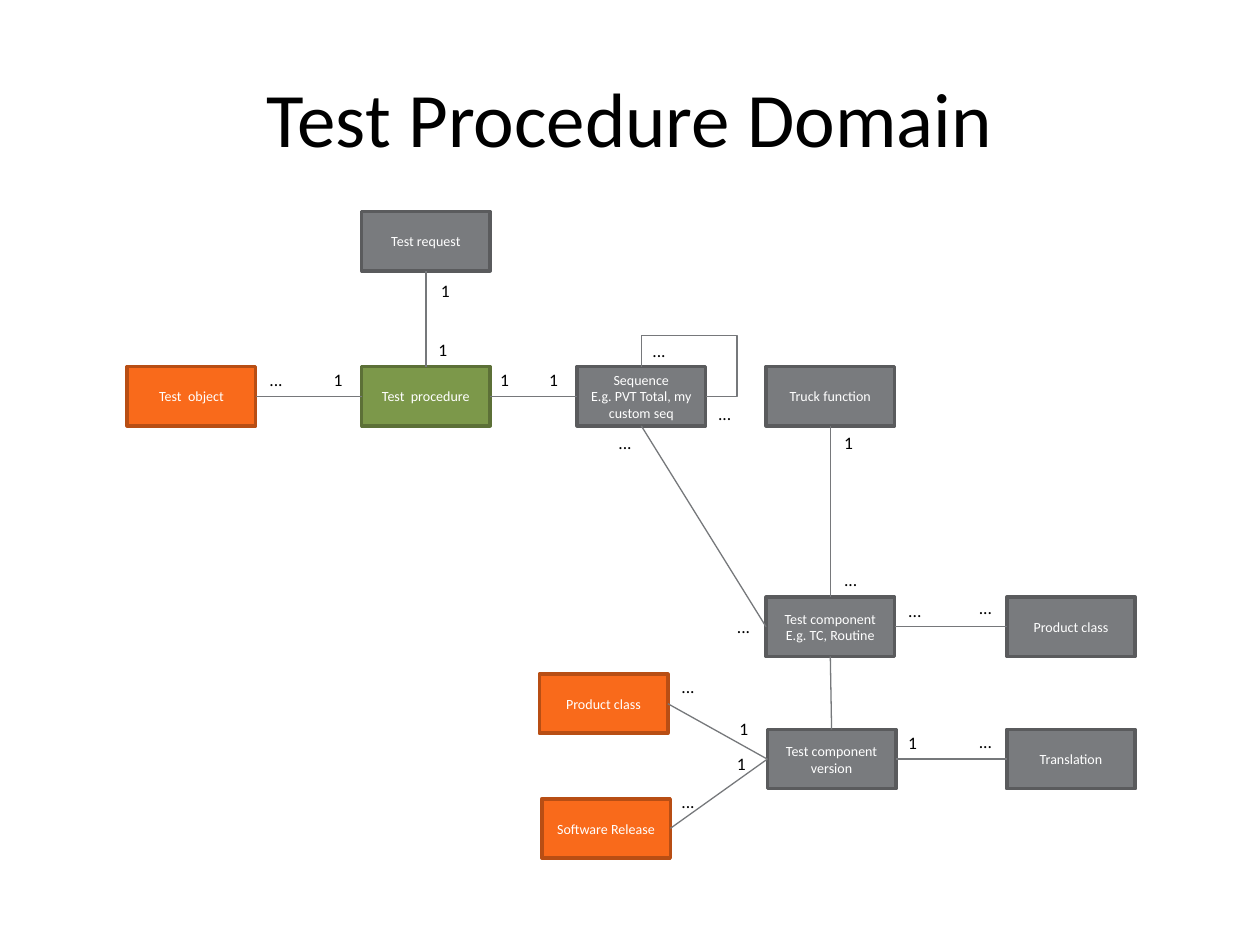
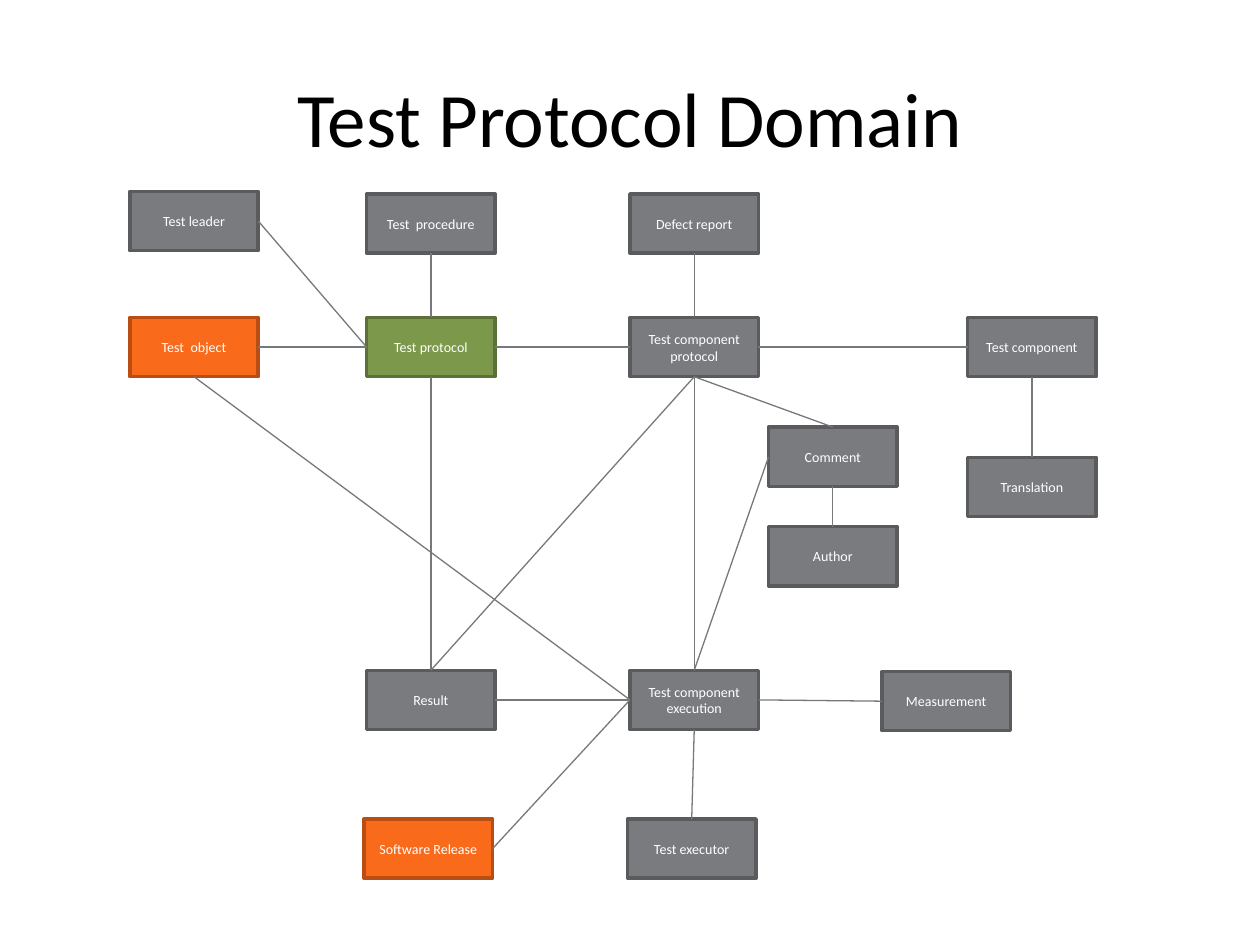
from dataclasses import dataclass
from enum import IntEnum

from lxml.etree import SubElement
from pptx import Presentation
from pptx.dml.color import RGBColor as Color
from pptx.enum.shapes import MSO_CONNECTOR as Connector, MSO_SHAPE as Shape
from pptx.enum.text import MSO_ANCHOR as Anchor, PP_ALIGN as Align
from pptx.oxml.ns import qn
from pptx.util import Inches, Pt

WIDTH, HEIGHT = 10, 7.5
COLUMNS, ROWS = 100, 75
BOX_COLUMNS, BOX_ROWS = 10.2, 4.7
LABEL_COLUMNS, LABEL_ROWS = 3.2, 2.7


class Side(IntEnum):
    """Connection sites of a rectangle."""
    TOP = 0
    LEFT = 1
    BOTTOM = 2
    RIGHT = 3


TOP, LEFT, BOTTOM, RIGHT = Side


@dataclass(frozen=True)
class Theme:
    font: str = "Calibri"
    title_size: float = 44
    box_size: float = 8
    label_size: float = 10
    ink: str = "000000"
    paper: str = "FFFFFF"
    link: str = "76787B"
    link_width: float = 0.75
    border_width: float = 2
    grey: tuple = ("797B7E", "5A5B5D")
    green: tuple = ("7C984A", "5C7037")
    orange: tuple = ("F96A1B", "B84E14")


def column(count):
    return Inches(WIDTH * count / COLUMNS)


def row(count):
    return Inches(HEIGHT * count / ROWS)


def apply(target, values):
    for name, value in values.items():
        setattr(target, name, value)


class DomainDeck:
    def __init__(self, theme):
        self.theme = theme
        self.presentation = Presentation()
        apply(self.presentation, {"slide_width": Inches(WIDTH),
                                  "slide_height": Inches(HEIGHT)})
        self.slide = None
        self.boxes = {}

    def start_slide(self, title):
        self.slide = self.presentation.slides.add_slide(self.presentation.slide_layouts[6])
        self.boxes = {}
        shape = self.slide.shapes.add_textbox(column(5), row(3), column(90), row(12.5))
        self.set_text(shape, title, self.theme.title_size, self.theme.ink,
                      Align.CENTER, Anchor.MIDDLE)

    def set_text(self, shape, text, size, color, align, anchor):
        frame = shape.text_frame
        apply(frame, {"word_wrap": True, "vertical_anchor": anchor, "text": text})
        for paragraph in frame.paragraphs:
            paragraph.alignment = align
            apply(paragraph.font, {"name": self.theme.font, "size": Pt(size)})
            paragraph.font.color.rgb = Color.from_string(color)

    def box(self, key, left, top, text, colors):
        shape = self.slide.shapes.add_shape(Shape.RECTANGLE, column(left), row(top),
                                            column(BOX_COLUMNS), row(BOX_ROWS))
        fill, border = colors
        shape.shadow.inherit = False
        shape.fill.solid()
        shape.fill.fore_color.rgb = Color.from_string(fill)
        shape.line.color.rgb = Color.from_string(border)
        shape.line.width = Pt(self.theme.border_width)
        self.set_text(shape, text, self.theme.box_size, self.theme.paper,
                      Align.CENTER, Anchor.MIDDLE)
        self.boxes[key] = shape

    def link(self, start, start_side, end, end_side, kind=Connector.STRAIGHT):
        connector = self.slide.shapes.add_connector(kind, 0, 0, 0, 0)
        connector.begin_connect(self.boxes[start], start_side)
        connector.end_connect(self.boxes[end], end_side)
        connector.line.color.rgb = Color.from_string(self.theme.link)
        connector.line.width = Pt(self.theme.link_width)
        SubElement(connector.element.spPr, qn("a:effectLst"))
        return connector

    def self_link(self, key, reach, rise):
        """Loop from a box's right side to its top; reach and rise are shares of the bend."""
        connector = self.link(key, RIGHT, key, TOP, Connector.ELBOW)
        geometry = connector.element.spPr.find(qn("a:prstGeom"))
        geometry.set("prst", "bentConnector4")
        guides = geometry.find(qn("a:avLst"))
        if guides is None:
            guides = SubElement(geometry, qn("a:avLst"))
        for name, share in (("adj1", -reach), ("adj2", 1 + rise)):
            SubElement(guides, qn("a:gd"), name=name, fmla=f"val {round(share * 100000)}")

    def label(self, text, left, top):
        shape = self.slide.shapes.add_textbox(column(left), row(top),
                                              column(LABEL_COLUMNS), row(LABEL_ROWS))
        self.set_text(shape, text, self.theme.label_size, self.theme.ink,
                      Align.LEFT, Anchor.TOP)

    def diagram(self, title, boxes, links):
        self.start_slide(title)
        for box in boxes:
            self.box(*box)
        for link in links:
            self.link(*link)


def add_procedure_domain(deck):
    grey, green, orange = deck.theme.grey, deck.theme.green, deck.theme.orange
    middle, component_row, version_row = 29.1, 47.4, 57.9
    boxes = [
        ("request", 28.7, 16.8, "Test request", grey),
        ("object", 10.1, middle, "Test  object", orange),
        ("procedure", 28.7, middle, "Test  procedure", green),
        ("sequence", 45.8, middle, "Sequence\nE.g. PVT Total, my custom seq", grey),
        ("function", 60.8, middle, "Truck function", grey),
        ("component", 60.8, component_row, "Test component\nE.g. TC, Routine", grey),
        ("component class", 79.9, component_row, "Product class", grey),
        ("version", 60.9, version_row, "Test component version", grey),
        ("translation", 79.9, version_row, "Translation", grey),
        ("version class", 42.8, 53.5, "Product class", orange),
        ("release", 43, 63.4, "Software Release", orange),
    ]
    links = [
        ("sequence", BOTTOM, "component", LEFT),
        ("request", BOTTOM, "procedure", TOP),
        ("procedure", RIGHT, "sequence", LEFT),
        ("component", TOP, "function", BOTTOM),
        ("component", BOTTOM, "version", TOP),
        ("version class", RIGHT, "version", LEFT),
        ("version", RIGHT, "translation", LEFT),
        ("release", RIGHT, "version", LEFT),
        ("component", RIGHT, "component class", LEFT),
        ("object", RIGHT, "procedure", LEFT),
    ]
    multiplicities = {
        "1": [(34, 21.7), (33.8, 26.4), (25.5, 28.8), (38.7, 28.8), (42.6, 28.8),
              (66, 33.8), (71.1, 57.6), (57.7, 56.5), (57.5, 59.3)],
        "...": [(20.4, 28.8), (50.8, 26.5), (56, 31.5), (48.1, 33.8), (57.5, 48.4),
                (66, 44.7), (71.1, 47.1), (76.7, 46.9), (76.7, 57.5), (53.1, 53.2),
                (53.1, 62.3)],
    }
    deck.diagram("Test Procedure Domain", boxes, links)
    deck.self_link("sequence", 0.49, 1.06)
    for text, places in multiplicities.items():
        for place in places:
            deck.label(text, *place)


def add_protocol_domain(deck):
    grey, green, orange = deck.theme.grey, deck.theme.green, deck.theme.orange
    first, second, third, fourth = 10.3, 29.1, 50, 76.8
    top, protocol_row, result_row, bottom = 15.4, 25.2, 53.2, 65
    boxes = [
        ("leader", first, 15.2, "Test leader", grey),
        ("procedure", second, top, "Test  procedure", grey),
        ("report", third, top, "Defect report", grey),
        ("object", first, protocol_row, "Test  object", orange),
        ("protocol", second, protocol_row, "Test protocol", green),
        ("component protocol", third, protocol_row, "Test component protocol", grey),
        ("component", fourth, protocol_row, "Test component", grey),
        ("translation", fourth, 36.3, "Translation", grey),
        ("comment", 61, 33.9, "Comment", grey),
        ("author", 61, 41.8, "Author", grey),
        ("result", second, result_row, "Result", grey),
        ("execution", third, result_row, "Test component execution", grey),
        ("measurement", 70, 53.3, "Measurement", grey),
        ("release", 28.9, bottom, "Software Release", orange),
        ("executor", 49.8, bottom, "Test executor", grey),
    ]
    links = [
        ("protocol", TOP, "procedure", BOTTOM),
        ("protocol", RIGHT, "component protocol", LEFT),
        ("component protocol", BOTTOM, "comment", TOP),
        ("comment", BOTTOM, "author", TOP),
        ("component protocol", BOTTOM, "execution", TOP),
        ("execution", LEFT, "result", RIGHT),
        ("result", TOP, "protocol", BOTTOM),
        ("execution", RIGHT, "measurement", LEFT),
        ("execution", BOTTOM, "executor", TOP),
        ("component protocol", TOP, "report", BOTTOM),
        ("component protocol", RIGHT, "component", LEFT),
        ("component", BOTTOM, "translation", TOP),
        ("component protocol", BOTTOM, "result", TOP),
        ("leader", RIGHT, "protocol", LEFT),
        ("execution", TOP, "comment", LEFT),
        ("object", RIGHT, "protocol", LEFT),
        ("execution", LEFT, "object", BOTTOM),
        ("execution", LEFT, "release", RIGHT),
    ]
    deck.diagram("Test Protocol Domain", boxes, links)


def main():
    deck = DomainDeck(Theme())
    add_procedure_domain(deck)
    add_protocol_domain(deck)
    deck.presentation.save("out.pptx")


if __name__ == "__main__":
    main()
